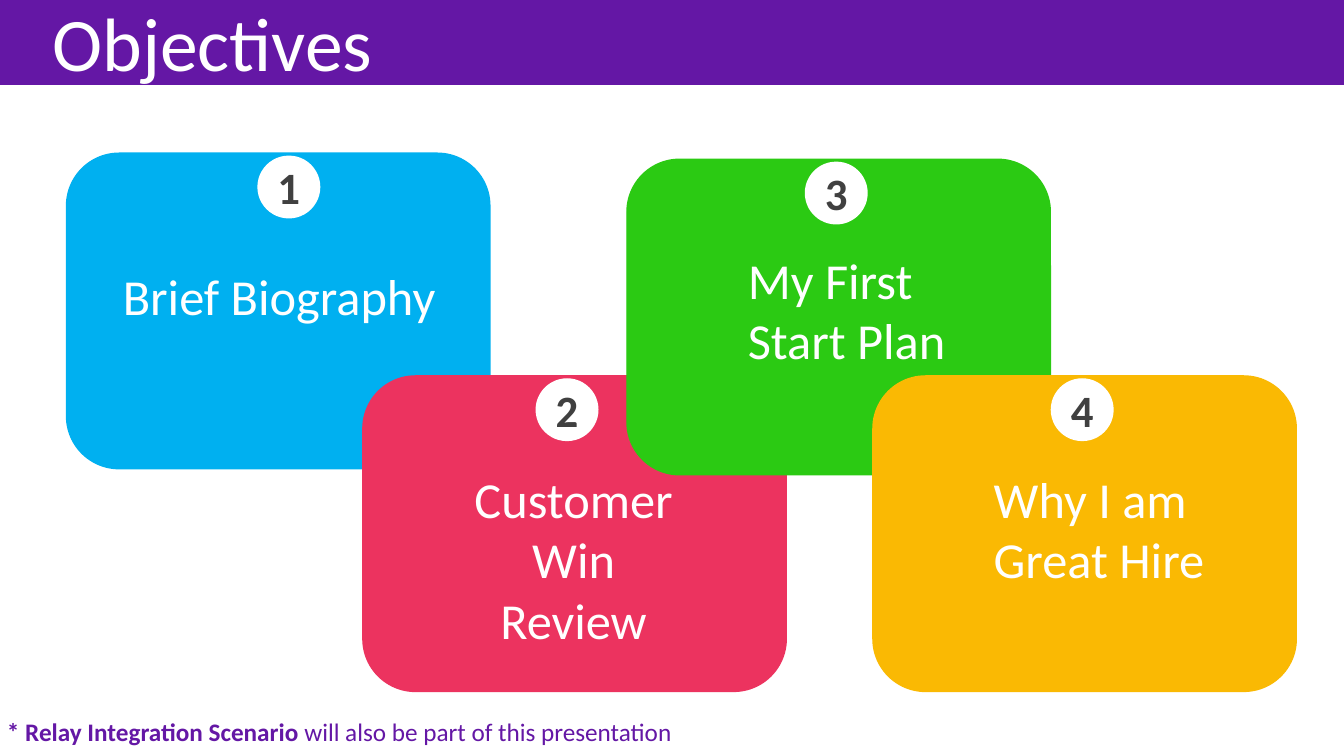
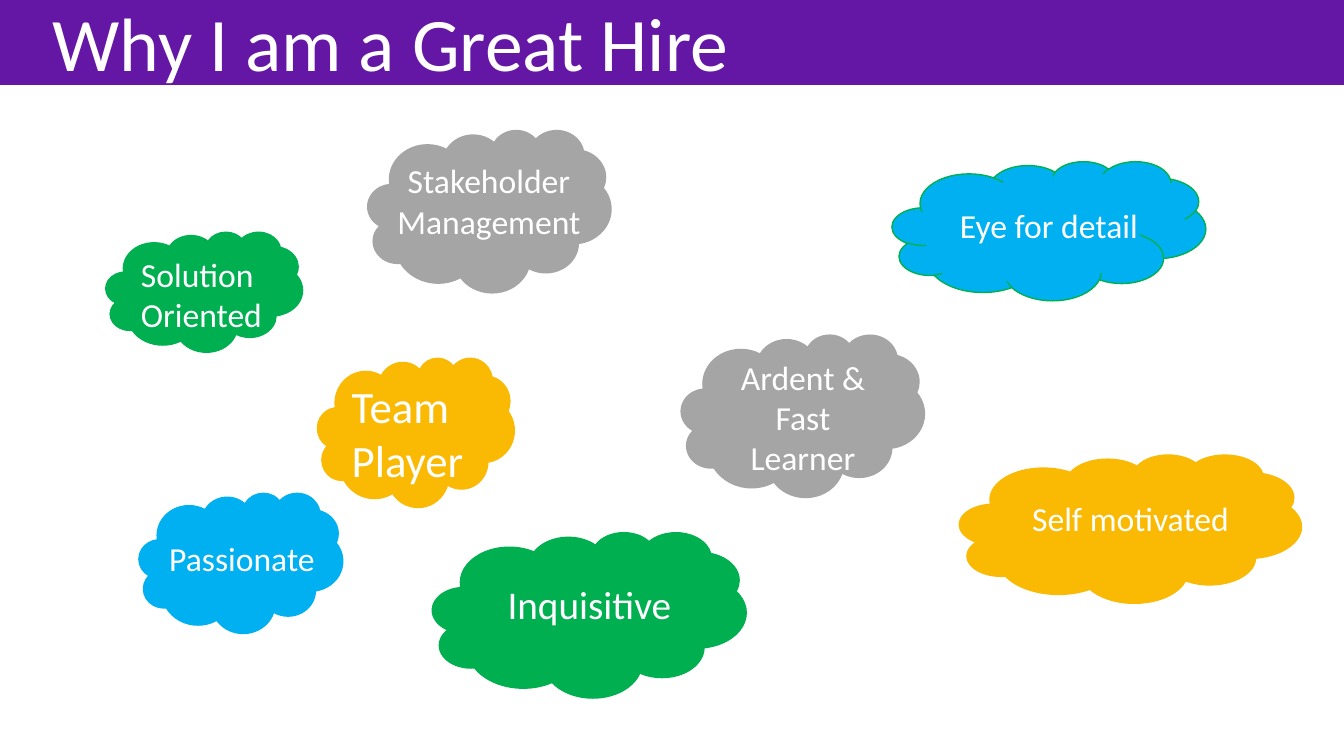
"""Build two slides: numbered objectives and a field of strengths in clouds."""
import pptx
import pptx.util
import pptx.dml.color
import pptx.enum.shapes
import pptx.enum.text

Kind = pptx.enum.shapes.MSO_SHAPE
Al = pptx.enum.text.PP_ALIGN
hue = pptx.dml.color.RGBColor.from_string

PURPLE, WHITE, DARK = "6417A5", "FFFFFF", "404040"
BLUE, PINK, LIME, GOLD = "00B0F0", "EC335F", "2BCA13", "FAB903"
GREEN, GREY = "00B050", "A5A5A5"
FRAME = {
    "word_wrap": True,
    "auto_size": pptx.enum.text.MSO_AUTO_SIZE.NONE,
    "vertical_anchor": pptx.enum.text.MSO_ANCHOR.TOP,
}

deck = pptx.Presentation()
deck.slide_width = pptx.util.Inches(13.33)
deck.slide_height = pptx.util.Inches(7.5)
col, row = deck.slide_width / 100, deck.slide_height / 100


def draw(page, kind, box, fill=None, line=None):
    """Add a shape, or a text box when kind is None, placed in percent of the slide."""
    x, y, w, h = box
    area = [int(n) for n in (x * col, y * row, w * col, h * row)]
    if kind is None:
        return page.shapes.add_textbox(*area)
    shape = page.shapes.add_shape(kind, *area)
    shape.shadow.inherit = False
    shape.fill.solid()
    shape.fill.fore_color.rgb = hue(fill)
    shape.line.color.rgb = hue(line or fill)
    shape.line.width = pptx.util.Pt(1)
    return shape


def write(shape, parts, size, tint=WHITE, align=Al.LEFT, **extra):
    """Fill one paragraph with (text, bold) parts."""
    frame = shape.text_frame
    for name, value in {**FRAME, **extra}.items():
        setattr(frame, name, value)
    para = frame.paragraphs[0]
    para.alignment = align
    for text, bold in parts:
        run = para.add_run()
        run.text = text
        look = {"name": "Calibri", "size": pptx.util.Pt(size), "bold": bold}
        for name, value in look.items():
            setattr(run.font, name, value)
        run.font.color.rgb = hue(tint)


layout = deck.slide_layouts[5]
head = layout.placeholders[0]
place = {"left": 3.15 * col, "top": -1.2 * row, "width": 90 * col, "height": 13.47 * row}
for name, value in place.items():
    setattr(head, name, int(value))

pages = []
for title in ("Objectives", "Why I am a Great Hire"):
    page = deck.slides.add_slide(layout)
    band = draw(page, Kind.RECTANGLE, (0, 0, 100, 11.1), PURPLE)
    page.shapes._spTree.insert(2, band._element)
    write(page.shapes.title, [(title, False)], 54)
    pages.append(page)
goals, traits = pages

CARDS = [
    ("Brief Biography", BLUE, (4.95, 20.27), 14.25, (8.4, 34.4, 25, 9.47), Al.LEFT),
    ("Customer Win Review", PINK, (27, 49.73), 12.9, (33.83, 61.2, 17.7, 25.6), Al.CENTER),
    ("My First Start Plan", LIME, (46.65, 21.07), 13.28, (54.9, 32.27, 17.7, 17.47), Al.LEFT),
    ("Why I am Great Hire", GOLD, (64.95, 49.73), 13.28, (73.2, 61.2, 17.7, 17.47), Al.LEFT),
]
TIGHT = {
    "margin_left": 0, "margin_right": 0, "margin_top": 0, "margin_bottom": 0,
    "word_wrap": False, "vertical_anchor": pptx.enum.text.MSO_ANCHOR.MIDDLE,
}
for text, fill, (x, y), shift, spot, align in CARDS:
    draw(goals, Kind.ROUNDED_RECTANGLE, (x, y, 31.5, 41.73), fill)
for count, (text, fill, (x, y), shift, spot, align) in enumerate(CARDS, 1):
    badge = draw(goals, Kind.OVAL, (x + shift, y + 0.4, 4.58, 8.13), WHITE)
    write(badge, [(str(count), True)], 32, DARK, Al.CENTER, **TIGHT)
    write(draw(goals, None, spot), [(text, False)], 36, align=align)

note = draw(goals, None, (-0.22, 94.13, 53.18, 5.33))
write(note, [("* Relay Integration Scenario", True),
             (" will also be part of this presentation", False)], 18, PURPLE)

CLOUDS = [
    ("Solution Oriented", 24, Al.LEFT, GREEN, GREEN,
     (7.88, 30.67, 14.63, 15.87), (9.75, 32.93, 11.55, 12.13)),
    ("Ardent & Fast Learner", 24, Al.CENTER, GREY, GREY,
     (50.7, 44.27, 18.08, 21.47), (53.03, 46.53, 13.43, 17.47)),
    ("Team Player", 32, Al.LEFT, GOLD, GOLD,
     (23.63, 47.33, 14.63, 19.73), (25.43, 49.47, 15.83, 15.73)),
    ("Eye for detail", 24, Al.CENTER, BLUE, GREEN,
     (66.38, 21.33, 23.33, 18.4), (68.18, 26.4, 19.73, 6.67)),
    ("Passionate", 24, Al.LEFT, BLUE, BLUE,
     (10.35, 65.2, 15.15, 18.53), (11.85, 70.53, 13.65, 6.67)),
    ("Inquisitive", 28, Al.CENTER, GREEN, GREEN,
     (32.18, 70.4, 23.33, 21.87), (32.18, 76.13, 23.33, 7.6)),
    ("Self motivated", 24, Al.CENTER, GOLD, GOLD,
     (71.4, 60.13, 25.43, 19.6), (74.25, 65.2, 19.73, 6.67)),
    ("Stakeholder Management", 24, Al.CENTER, GREY, GREY,
     (27.38, 17.2, 18.08, 21.47), (28.43, 20.53, 15.9, 12.13)),
]
for text, size, align, fill, line, box, spot in CLOUDS:
    draw(traits, Kind.CLOUD, box, fill, line)
    write(draw(traits, None, spot), [(text, False)], size, align=align)

deck.save("out.pptx")
